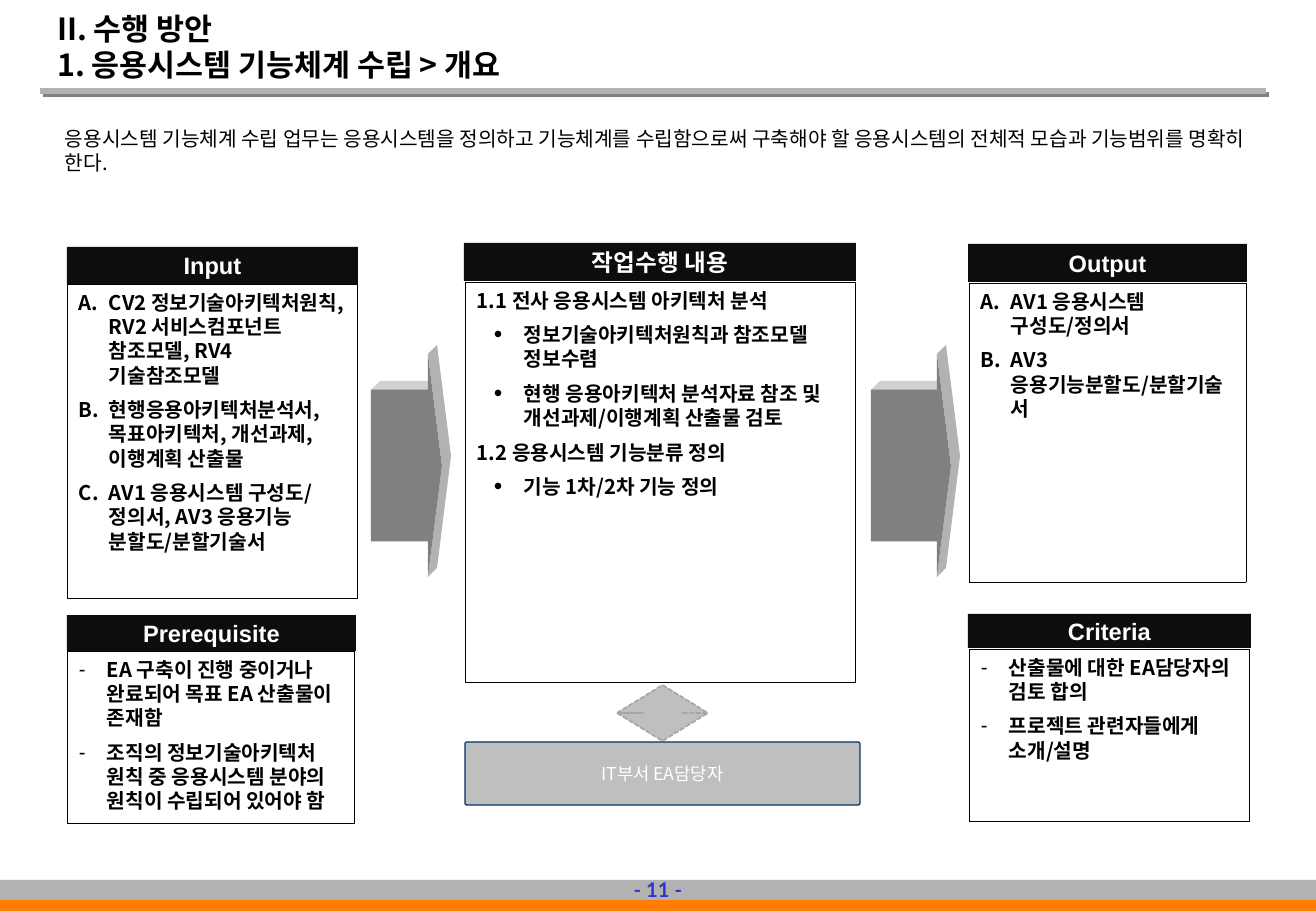
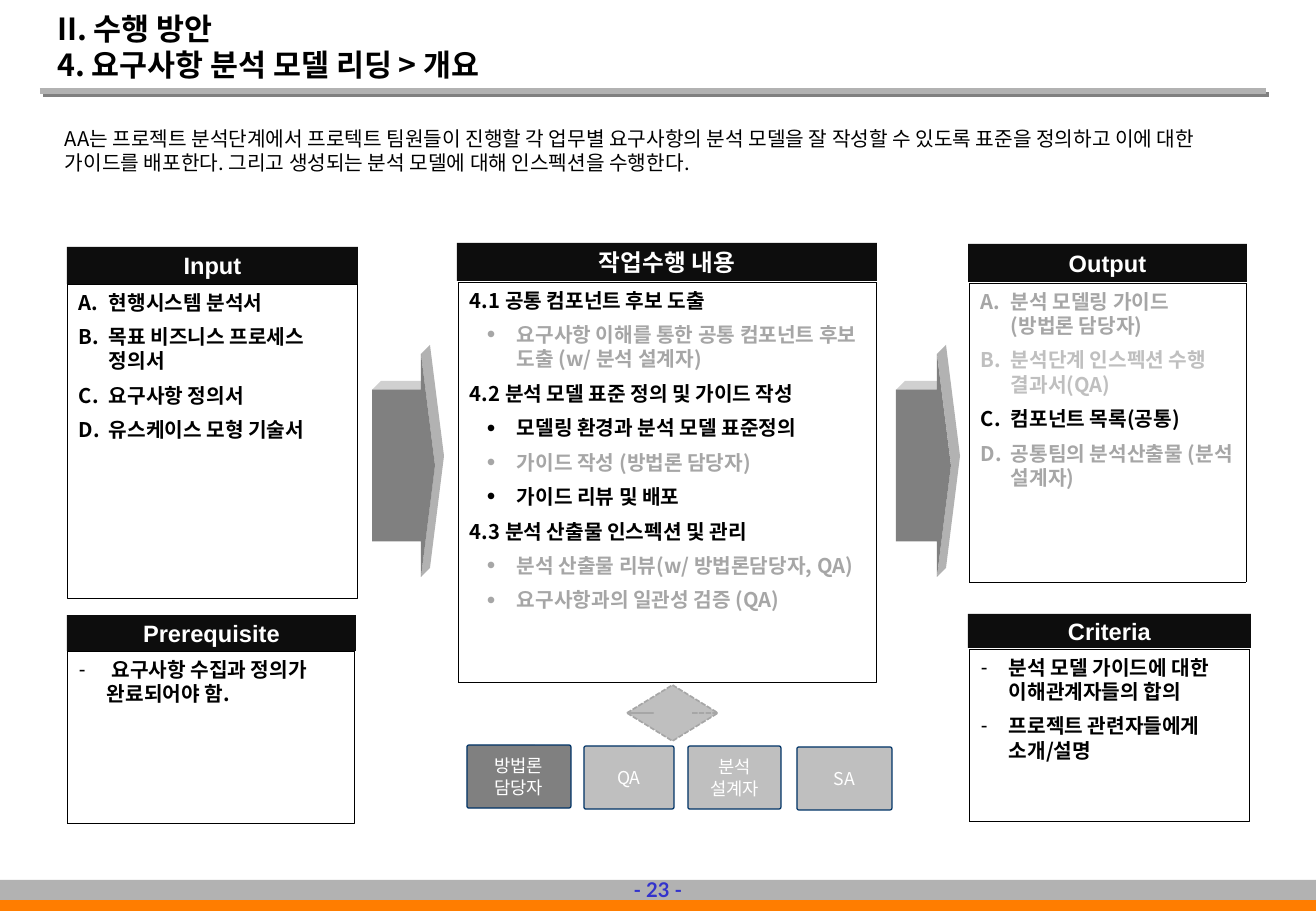
"""Build two overview slides: inputs, work steps, outputs and roles."""
from lxml import etree
from pptx import Presentation
from pptx.dml.color import RGBColor
from pptx.enum.dml import MSO_LINE
from pptx.enum.shapes import MSO_CONNECTOR, MSO_SHAPE as SHAPE
from pptx.enum.text import MSO_ANCHOR as ANCHOR, MSO_AUTO_SIZE, PP_ALIGN as ALIGN
from pptx.oxml.ns import qn
from pptx.util import Emu, Pt

PX = 7526
W, H = 1316, 911
KR, LATIN, PAGE_FONT = "Noto Sans CJK KR", "Arial", "Lato"
BLACK = RGBColor(0x00, 0x00, 0x00)
WHITE = RGBColor(0xFF, 0xFF, 0xFF)
HEADER = RGBColor(0x0D, 0x0D, 0x0D)
DARK = RGBColor(0x80, 0x80, 0x80)
MUTED = RGBColor(0xA6, 0xA6, 0xA6)
BAND = RGBColor(0xB2, 0xB2, 0xB2)
PALE = RGBColor(0xBF, 0xBF, 0xBF)
TOP_FACE = RGBColor(0xD0, 0xD0, 0xD0)
ORANGE = RGBColor(0xFF, 0x7D, 0x00)
NAVY = RGBColor(0x00, 0x33, 0x66)
PAGE_BLUE = RGBColor(0x33, 0x33, 0xCC)

SECTION = "II. 수행 방안"
HEADERS = {
    "input": ("Input", LATIN, (67, 247, 291, 37)),
    "output": ("Output", LATIN, (968, 244, 279, 38)),
    "prerequisite": ("Prerequisite", LATIN, (67, 615, 289, 36)),
    "criteria": ("Criteria", LATIN, (968, 614, 283, 34)),
}
BODIES = {
    "input": (67, 284, 290, 314),
    "output": (969, 283, 277, 299),
    "prerequisite": (67, 651, 287, 172),
    "criteria": (969, 649, 280, 172),
}
MARKS = {"input": "letter", "output": "letter", "prerequisite": "dash", "criteria": "dash"}
INDENTS = {"step": (30, -30), "letter": (30, -30), "dot": (47, -30), "dash": (28, -28)}
BULLETS = {
    "step": [],
    "letter": [("a:buFont", "typeface", KR), ("a:buAutoNum", "type", "alphaUcPeriod")],
    "dot": [("a:buSzPct", "val", "120000"), ("a:buFont", "typeface", LATIN),
            ("a:buChar", "char", "•")],
    "dash": [("a:buFont", "typeface", LATIN), ("a:buChar", "char", "-")],
}

SLIDES = [
    {
        "page": 11,
        "title": "1. 응용시스템 기능체계 수립 > 개요",
        "lead": "응용시스템 기능체계 수립 업무는 응용시스템을 정의하고 기능체계를 수립함으로써 "
                "구축해야 할 응용시스템의 전체적 모습과 기능범위를 명확히 한다.",
        "work_left": 464, "work_width": 392,
        "arrows": [(371, 71), (871, 80)],
        "exchange_left": 617,
        "work": [
            ("step", "1.1 전사 응용시스템 아키텍처 분석", BLACK),
            ("dot", "정보기술아키텍처원칙과 참조모델 정보수렴", BLACK),
            ("dot", "현행 응용아키텍처 분석자료 참조 및 개선과제/이행계획 산출물 검토", BLACK),
            ("step", "1.2 응용시스템 기능분류 정의", BLACK),
            ("dot", "기능 1차/2차 기능 정의", BLACK),
        ],
        "input": [
            ("CV2 정보기술아키텍처원칙, RV2 서비스컴포넌트 참조모델, RV4 기술참조모델", BLACK),
            ("현행응용아키텍처분석서, 목표아키텍처, 개선과제, 이행계획 산출물", BLACK),
            ("AV1 응용시스템 구성도/ 정의서, AV3 응용기능 분할도/분할기술서", BLACK),
        ],
        "output": [
            ("AV1 응용시스템 구성도/정의서", BLACK),
            ("AV3 응용기능분할도/분할기술서", BLACK),
        ],
        "prerequisite": [
            ("EA 구축이 진행 중이거나 완료되어 목표 EA 산출물이 존재함", BLACK),
            ("조직의 정보기술아키텍처 원칙 중 응용시스템 분야의 원칙이 수립되어 있어야 함", BLACK),
        ],
        "criteria": [
            ("산출물에 대한 EA담당자의 검토 합의", BLACK),
            ("프로젝트 관련자들에게 소개/설명", BLACK),
        ],
        "roles": [("IT부서 EA담당자", PALE, (465, 742, 395, 63))],
    },
    {
        "page": 23,
        "title": "4. 요구사항 분석 모델 리딩 > 개요",
        "lead": "AA는 프로젝트 분석단계에서 프로텍트 팀원들이 진행할 각 업무별 요구사항의 분석 모델을 "
                "잘 작성할 수 있도록 표준을 정의하고 이에 대한 가이드를 배포한다. "
                "그리고 생성되는 분석 모델에 대해 인스펙션을 수행한다.",
        "work_left": 457, "work_width": 420,
        "arrows": [(372, 63), (896, 55)],
        "exchange_left": 627,
        "work": [
            ("step", "4.1 공통 컴포넌트 후보 도출", BLACK),
            ("dot", "요구사항 이해를 통한 공통 컴포넌트 후보 도출 (w/ 분석 설계자)", MUTED),
            ("step", "4.2 분석 모델 표준 정의 및 가이드 작성", BLACK),
            ("dot", "모델링 환경과 분석 모델 표준정의", BLACK),
            ("dot", "가이드 작성 (방법론 담당자)", MUTED),
            ("dot", "가이드 리뷰 및 배포", BLACK),
            ("step", "4.3 분석 산출물 인스펙션 및 관리", BLACK),
            ("dot", "분석 산출물 리뷰(w/ 방법론담당자, QA)", MUTED),
            ("dot", "요구사항과의 일관성 검증 (QA)", MUTED),
        ],
        "input": [
            ("현행시스템 분석서", BLACK),
            ("목표 비즈니스 프로세스 정의서", BLACK),
            ("요구사항 정의서", BLACK),
            ("유스케이스 모형 기술서", BLACK),
        ],
        "output": [
            ("분석 모델링 가이드 (방법론 담당자)", MUTED),
            ("분석단계 인스펙션 수행 결과서(QA)", PALE),
            ("컴포넌트 목록(공통)", BLACK),
            ("공통팀의 분석산출물 (분석 설계자)", MUTED),
        ],
        "prerequisite": [(" 요구사항 수집과 정의가 완료되어야 함.", BLACK)],
        "criteria": [
            ("분석 모델 가이드에 대한 이해관계자들의 합의", BLACK),
            ("프로젝트 관련자들에게 소개/설명", BLACK),
        ],
        "roles": [
            ("방법론 담당자", DARK, (467, 745, 104, 63)),
            ("QA", PALE, (584, 746, 90, 63)),
            ("분석 설계자", PALE, (688, 746, 93, 63)),
            ("SA", PALE, (797, 747, 95, 63)),
        ],
    },
]


def emu(*lengths):
    return [Emu(n * PX) for n in lengths]


def add_run(p, text, size, color, font=KR, bold=False):
    r = p.add_run()
    r.text = text
    f = r.font
    f.name, f.size, f.bold = font, Pt(size), bold
    f.color.rgb = color
    ea = etree.SubElement(r._r.get_or_add_rPr(), qn("a:ea"))
    ea.set("typeface", font)
    if font == KR:
        p.line_spacing = Pt(round(size * 1.2, 1))


def paint(sp, fill=None, line=None, width=0.75, dash=None):
    sp.shadow.inherit = False
    if fill is None:
        sp.fill.background()
    else:
        sp.fill.solid()
        sp.fill.fore_color.rgb = fill
    if line is None:
        sp.line.fill.background()
    else:
        sp.line.color.rgb = line
        sp.line.width = Pt(width)
        if dash is not None:
            sp.line.dash_style = dash
    return sp


def add_box(s, box, kind=SHAPE.RECTANGLE, **style):
    return paint(s.shapes.add_shape(kind, *emu(*box)), **style)


def set_frame(tf, anchor, inset=None, wrap=True):
    tf.word_wrap, tf.vertical_anchor = wrap, anchor
    tf.auto_size = MSO_AUTO_SIZE.NONE
    if inset is not None:
        inset = Emu(inset * PX)
        tf.margin_left = tf.margin_right = tf.margin_top = tf.margin_bottom = inset
    return tf.paragraphs[0]


def add_label(sp, text, size, color, font=KR, bold=False, inset=None, wrap=True):
    p = set_frame(sp.text_frame, ANCHOR.MIDDLE, inset, wrap)
    p.alignment = ALIGN.CENTER
    add_run(p, text, size, color, font, bold)


def add_header(s, text, font, box):
    add_label(add_box(s, box, fill=HEADER), text, 14, WHITE, font, True, 0)


def add_list(s, box, items):
    tf = add_box(s, box, line=BLACK, width=0.25, dash=MSO_LINE.ROUND_DOT).text_frame
    p = set_frame(tf, ANCHOR.TOP)
    for i, (mark, text, color) in enumerate(items):
        if i:
            p = tf.add_paragraph()
            p.space_before = Pt(6)
        p.alignment = ALIGN.LEFT
        ppr = p._p.get_or_add_pPr()
        for name, n in zip(("marL", "indent"), INDENTS[mark]):
            ppr.set(name, str(n * PX))
        for tag, key, value in BULLETS[mark]:
            etree.SubElement(ppr, qn(tag)).set(key, value)
        add_run(p, text, 12, color, bold=True)


def add_face(s, points, fill):
    fb = s.shapes.build_freeform(*points[0], scale=PX)
    fb.add_line_segments(points[1:], close=True)
    paint(fb.convert_to_shape(), fill=fill)


def add_block_arrow(s, left, width):
    top, height, depth = 354, 223, 9
    neck, tip, bottom = left + width - 14, left + width, top + height
    middle, shaft = top + height // 2, top + 36
    add_face(s, [(left, shaft), (left + depth, shaft - depth), (neck, shaft - depth),
                 (neck, shaft)], TOP_FACE)
    add_face(s, [(neck, top), (neck + depth, top - depth), (tip + depth, middle - depth),
                 (neck + depth, bottom - depth), (neck, bottom), (tip, middle)], BAND)
    sp = add_box(s, (left, top, width, height), SHAPE.RIGHT_ARROW, fill=DARK)
    sp.adjustments[0], sp.adjustments[1] = 0.68, 14 / width


def add_frame(s, title, page):
    rule = s.shapes.add_connector(MSO_CONNECTOR.STRAIGHT, *emu(40, 91, 1266, 91))
    rule.line.color.rgb = BAND
    rule.line.width = Pt(3)
    effects = etree.SubElement(rule._element.spPr, qn("a:effectLst"))
    shadow = etree.SubElement(effects, qn("a:outerShdw"), dist=str(Pt(2.8)), dir="2700000")
    etree.SubElement(shadow, qn("a:srgbClr"), val=str(DARK))
    add_box(s, (0, 892, W, 19), fill=ORANGE)
    add_box(s, (0, 880, W, 20), fill=BAND)
    number = s.shapes.add_textbox(*emu(622, 870, 72, 38))
    add_label(number, f"- {page} -", 12, PAGE_BLUE, PAGE_FONT, True, 7, False)
    heading = s.shapes.title
    heading.left, heading.top, heading.width, heading.height = emu(45, 28, 979, 61)
    p = set_frame(heading.text_frame, ANCHOR.BOTTOM)
    p.alignment = ALIGN.LEFT
    add_run(p, SECTION, 18, BLACK, bold=True)
    p.add_line_break()
    add_run(p, title, 18, BLACK, bold=True)


def add_overview(prs, data):
    s = prs.slides.add_slide(prs.slide_layouts[5])
    add_frame(s, data["title"], data["page"])
    lead = s.shapes.add_textbox(*emu(53, 120, 1221, 62))
    add_run(set_frame(lead.text_frame, ANCHOR.TOP), data["lead"], 12, BLACK)

    left, width = data["work_left"], data["work_width"]
    add_list(s, (left + 1, 282, width - 2, 400), data["work"])
    add_header(s, "작업수행 내용", KR, (left, 243, width, 38))
    for key, header in HEADERS.items():
        add_list(s, BODIES[key], [(MARKS[key], *item) for item in data[key]])
        add_header(s, *header)

    for arrow in data["arrows"]:
        add_block_arrow(s, *arrow)
    exchange = add_box(s, (data["exchange_left"], 685, 91, 56), SHAPE.UP_DOWN_ARROW,
                       fill=PALE, line=MUTED, width=1, dash=MSO_LINE.SQUARE_DOT)
    exchange.adjustments[0], exchange.adjustments[1] = 0.61, 0.42
    for text, fill, box in data["roles"]:
        sp = add_box(s, box, SHAPE.ROUNDED_RECTANGLE, fill=fill, line=NAVY)
        sp.adjustments[0] = 0.03
        add_label(sp, text, 10.5, WHITE)


def main():
    prs = Presentation()
    prs.slide_width, prs.slide_height = emu(W, H)
    for data in SLIDES:
        add_overview(prs, data)
    prs.save("out.pptx")


if __name__ == "__main__":
    main()
